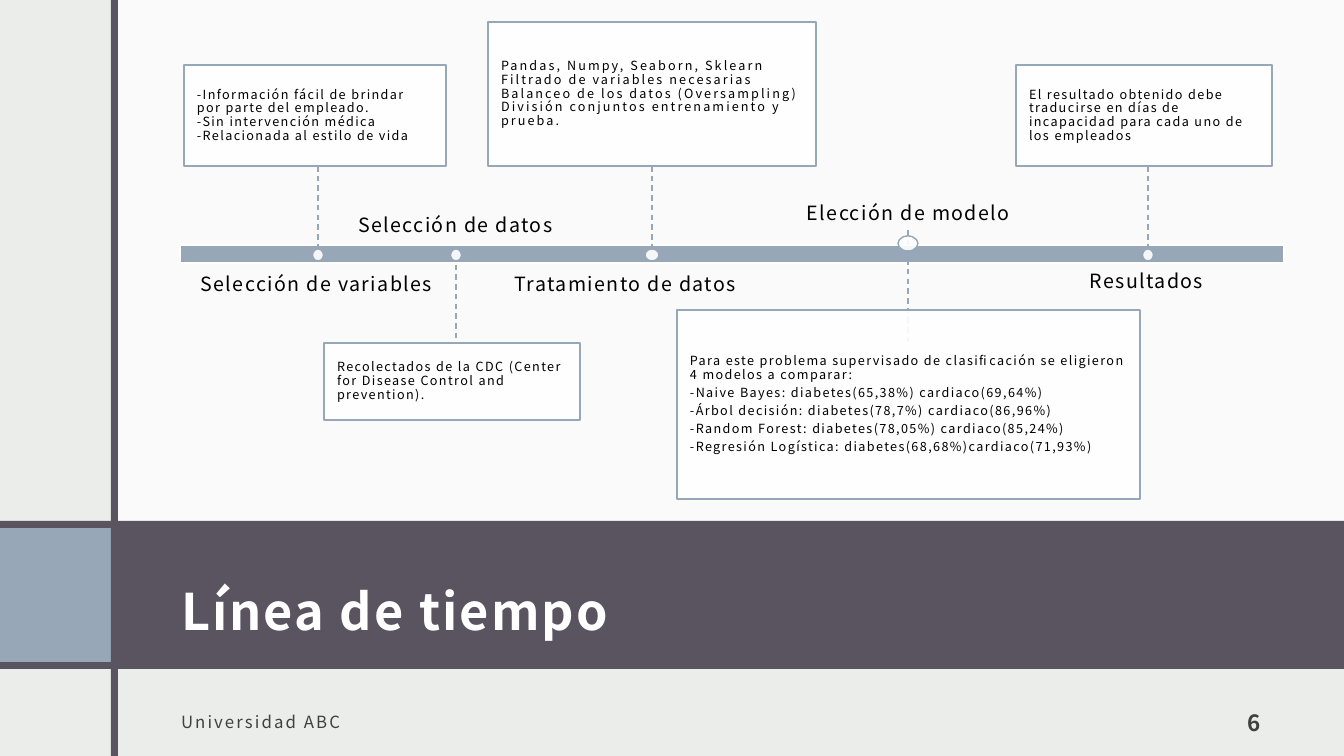
from lxml import etree
from pptx import Presentation
from pptx.dml.color import RGBColor
from pptx.enum.dml import MSO_LINE
from pptx.enum.shapes import MSO_CONNECTOR, MSO_SHAPE
from pptx.enum.text import MSO_ANCHOR, PP_ALIGN
from pptx.oxml.ns import qn
from pptx.util import Pt

RECT, OVAL = MSO_SHAPE.RECTANGLE, MSO_SHAPE.OVAL
STRAIGHT, DASH = MSO_CONNECTOR.STRAIGHT, MSO_LINE.DASH
TOP, MIDDLE, BOTTOM = MSO_ANCHOR.TOP, MSO_ANCHOR.MIDDLE, MSO_ANCHOR.BOTTOM
LEFT, CENTER, RIGHT = PP_ALIGN.LEFT, PP_ALIGN.CENTER, PP_ALIGN.RIGHT

FONT = "Noto Sans CJK JP"
COLORS = {"page": "EBEDEB", "white": "FFFFFF", "dark": "595460",
          "blue": "97A7B8", "black": "000000", "gray": "404040"}
SCALE = 914400 / 100.8
WIDTH, HEIGHT = 1344, 756
BAR_MID = 255
LABEL_W, LABEL_H = 247, 52

STAGES = [
    {"x": 318, "line": (166, BAR_MID), "box": (184, 65, 262, 101), "pad": 6,
     "notes": ["-Información fácil de brindar por parte del empleado.",
               "-Sin intervención médica",
               "-Relacionada al estilo de vida"],
     "label": "Selección de variables", "label_at": (193, 272), "anchor": TOP,
     "dot": (249, 11, 12)},
    {"x": 456, "line": (BAR_MID, 343), "box": (324, 343, 256, 77), "pad": 5,
     "notes": ["Recolectados de la CDC (Center for Disease Control and prevention)."],
     "label": "Selección de datos", "label_at": (332, 184), "anchor": BOTTOM,
     "dot": (249, 11, 12)},
    {"x": 652, "line": (166, BAR_MID), "box": (488, 22, 328, 144), "pad": 9,
     "spacing": 1.5,
     "notes": ["Pandas, Numpy, Seaborn, Sklearn",
               "Filtrado de variables necesarias",
               "Balanceo de los datos (Oversampling)",
               "División conjuntos entrenamiento y prueba."],
     "label": "Tratamiento de datos", "label_at": (502, 272), "anchor": TOP,
     "dot": (249, 14, 12)},
    {"x": 908, "line": (230, 346), "box": (677, 310, 463, 189), "pad": 9,
     "after": 3.2,
     "notes": ["Para este problema supervisado de clasificación se eligieron "
               "4 modelos a comparar:",
               "-Naive Bayes: diabetes(65,38%) cardiaco(69,64%)",
               "-Árbol decisión: diabetes(78,7%) cardiaco(86,96%)",
               "-Random Forest: diabetes(78,05%) cardiaco(85,24%)",
               "-Regresión Logística: diabetes(68,68%)cardiaco(71,93%)"],
     "label": "Elección de modelo", "label_at": (785, 173), "anchor": BOTTOM,
     "label_lead": 0.9, "dot": (236, 20, 15)},
    {"x": 1148, "line": (166, BAR_MID), "box": (1016, 65, 256, 101), "pad": 6,
     "notes": ["El resultado obtenido debe traducirse en días de incapacidad "
               "para cada uno de los empleados"],
     "label": "Resultados", "label_at": (1023, 272), "anchor": TOP,
     "label_lead": 0.9, "dot": (249, 11, 12)},
]


def px(n):
    return round(n * SCALE)


def rgb(name):
    return RGBColor.from_string(COLORS[name])


class Deck:
    def __init__(self):
        self.prs = Presentation()
        self.prs.slide_width, self.prs.slide_height = px(WIDTH), px(HEIGHT)
        self.slide = self.prs.slides.add_slide(self.prs.slide_layouts[6])
        fill = self.slide.background.fill
        fill.solid()
        fill.fore_color.rgb = rgb("page")

    def shape(self, kind, at, color, alpha=100, line=None):
        sp = self.slide.shapes.add_shape(kind, *map(px, at))
        sp.shadow.inherit = False
        sp.fill.solid()
        sp.fill.fore_color.rgb = rgb(color)
        if alpha < 100:
            clr = sp._element.spPr.find(qn("a:solidFill")).find(qn("a:srgbClr"))
            etree.SubElement(clr, qn("a:alpha")).set("val", str(alpha * 1000))
        if line:
            sp.line.color.rgb = rgb(line)
            sp.line.width = Pt(1)
        else:
            sp.line.fill.background()
        return sp

    def add_text(self, sp, paragraphs, size, color="black", bold=False, align=LEFT,
                 anchor=MIDDLE, insets=(0, 0, 0, 0), spacing=1, lead=1, after=0):
        tf = sp.text_frame
        tf.word_wrap = True
        tf.vertical_anchor = anchor
        tf.margin_left, tf.margin_top, tf.margin_right, tf.margin_bottom = map(px, insets)
        for i, text in enumerate(paragraphs):
            p = tf.add_paragraph() if i else tf.paragraphs[0]
            p.alignment = align
            p.line_spacing = lead
            p.space_after = Pt(after)
            r = p.add_run()
            r.text = text
            r.font.name = FONT
            r.font.size = Pt(size)
            r.font.bold = bold
            r.font.color.rgb = rgb(color)
            r._r.get_or_add_rPr().set("spc", str(round(spacing * 100)))

    def text_box(self, at, paragraphs, size, **style):
        sp = self.slide.shapes.add_textbox(*map(px, at))
        self.add_text(sp, paragraphs, size, **style)

    def dashed_line(self, x, top, bottom):
        cxn = self.slide.shapes.add_connector(STRAIGHT, *map(px, (x, top, x, bottom)))
        cxn.line.color.rgb = rgb("blue")
        cxn.line.width = Pt(1)
        cxn.line.dash_style = DASH
        etree.SubElement(cxn._element.spPr, qn("a:effectLst"))
        return cxn

    def stage(self, stage):
        x, pad = stage["x"], stage["pad"]
        left, top, width, height = stage["box"]
        cxn = self.dashed_line(x, *stage["line"])
        box = self.shape(RECT, stage["box"], "white", 90, "blue")
        if x == left + width / 2 and stage["line"][0] == top + height:
            cxn.begin_connect(box, 2)
        self.add_text(box, stage["notes"], 9, insets=(13, pad, 13, pad), lead=0.9,
                      spacing=stage.get("spacing", 1), after=stage.get("after", 0))
        self.text_box((*stage["label_at"], LABEL_W, LABEL_H), [stage["label"]], 14,
                      align=CENTER, anchor=stage["anchor"],
                      lead=stage.get("label_lead", 1))
        dot_top, dot_w, dot_h = stage["dot"]
        self.shape(OVAL, (x - dot_w / 2, dot_top, dot_w, dot_h), "white", 90, "blue")


def main():
    deck = Deck()
    deck.shape(RECT, (115, 0, WIDTH - 115, 521), "white", 75)
    deck.shape(RECT, (0, 521, WIDTH, 148), "dark")
    deck.shape(RECT, (0, 528, 111, 134), "blue")
    deck.shape(RECT, (111, 0, 7, HEIGHT), "dark")

    frame = {"insets": (12, 12, 12, 10), "spacing": 1.5}
    deck.text_box((169, 537, 1104, 114), ["Línea de tiempo"], 36, color="white",
                  bold=True, lead=1.5, **frame)
    deck.text_box((169, 696, 545, 50), ["Universidad ABC"], 12, color="gray", **frame)
    deck.text_box((1165, 696, 108, 50), ["6"], 16, color="gray", bold=True,
                  align=RIGHT, anchor=BOTTOM, **frame)

    deck.shape(RECT, (180, 245, 1104, 18), "blue", line="white")
    for stage in STAGES:
        deck.stage(stage)
    deck.prs.save("out.pptx")


if __name__ == "__main__":
    main()
